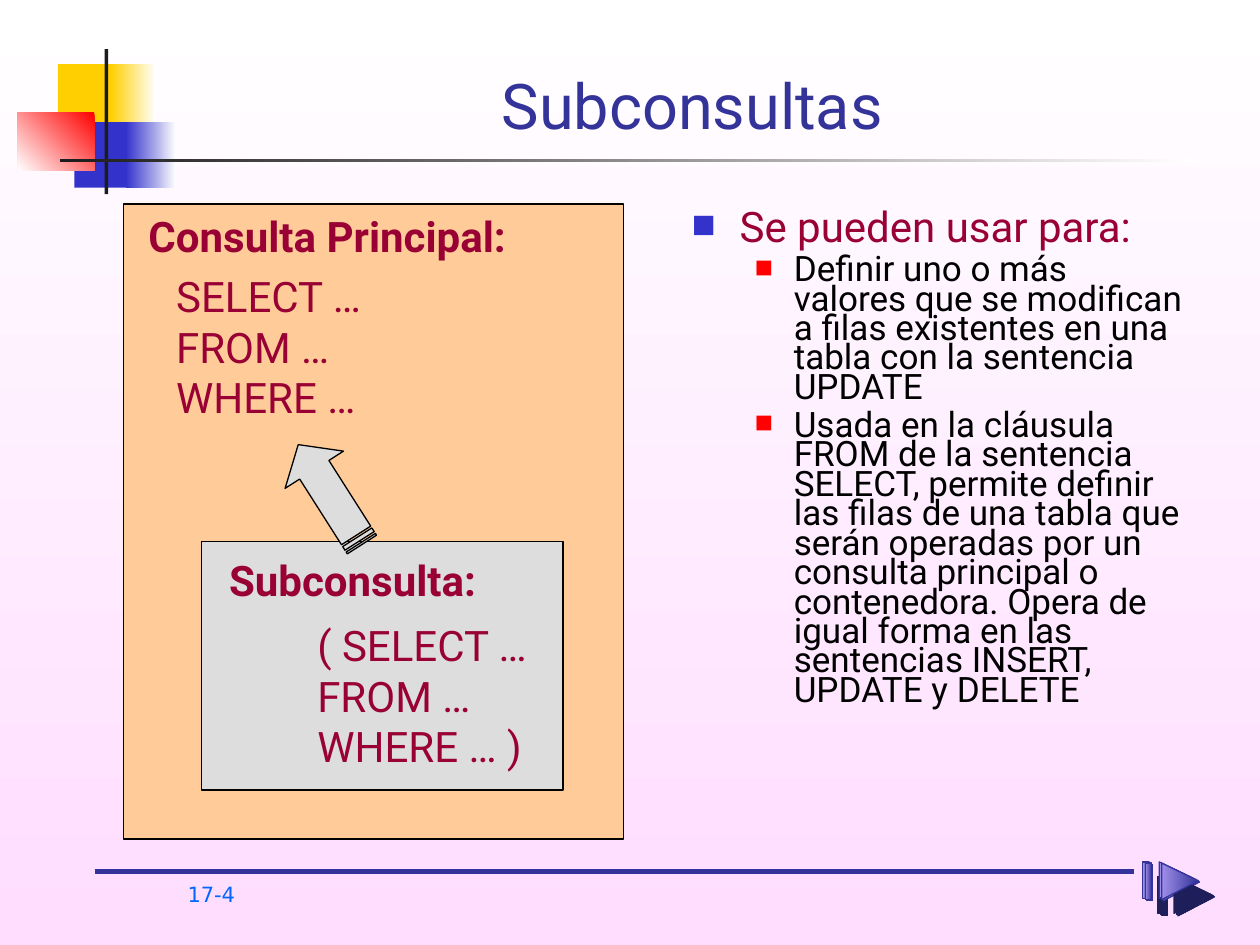
from lxml import etree
from pptx import Presentation, util as u
from pptx.dml.color import RGBColor
from pptx.enum import shapes, text
from pptx.oxml.ns import qn

WINE, NAVY, BLUE, GREY = "990033", "333399", "3333CC", "DDDDDD"
KIND = shapes.MSO_SHAPE

deck = Presentation()
deck.slide_width, deck.slide_height = u.Inches(10), u.Inches(7.5)
slide = deck.slides.add_slide(deck.slide_layouts[1])
parts = slide.shapes


def paint(fill, first, last=None, turn=180):
    """One colour gives a solid fill, two a gradient."""
    if last is None:
        fill.solid()
        fill.fore_color.rgb = RGBColor.from_string(first)
        return
    fill.gradient()
    fill.gradient_angle = turn
    for stop, tone in zip(fill.gradient_stops, (first, last)):
        stop.color.rgb = RGBColor.from_string(tone)


def write(frame, lines, size, tone, bold=False, face="Roboto", wrap=True):
    """Put each line in its own paragraph."""
    frame.word_wrap = wrap
    frame.auto_size = text.MSO_AUTO_SIZE.NONE
    for i, line in enumerate(lines):
        para = frame.paragraphs[0] if i == 0 else frame.add_paragraph()
        run = para.add_run()
        run.text = line
        run.font.size, run.font.name, run.font.bold = u.Pt(size), face, bold
        paint(run.font.fill, tone)


# Background
paint(slide.background.fill, "FFFFFF", "FFDDFF", 270)

# Corner blocks and title rule
for box, tones in (
    ((0.46, 0.51, 0.48, 0.52), ("FFCF01",)),
    ((0.88, 0.51, 0.36, 0.52), ("FFFFFF", "FFCF01")),
    ((0.59, 0.97, 0.46, 0.52), (BLUE,)),
    ((1.0, 0.97, 0.4, 0.52), ("FFFFFF", BLUE)),
    ((0.14, 0.89, 0.61, 0.46), ("FF0000", "FFFFFF", 225)),
    ((0.83, 0.39, 0.03, 1.15), ("1C1C1C",)),
    ((0.48, 1.26, 9, 0.03), ("FFFFFF", "1C1C1C")),
):
    block = parts.add_shape(KIND.RECTANGLE, *map(u.Inches, box))
    block.shadow.inherit = False
    block.line.fill.background()
    paint(block.fill, *tones)

# Footer line
rule = parts.add_connector(shapes.MSO_CONNECTOR.STRAIGHT,
                           *map(u.Inches, (0.75, 6.92, 9, 6.92)))
rule.line.width = u.Pt(2.75)
paint(rule.line.fill, NAVY)
etree.SubElement(rule._element.spPr, qn("a:effectLst"))

# Footer bars, then triangles, each stacked three deep
marks = []
steps = ((0.03, 0.02), (0, 0), (0.02, 0.01))
for dx, dy in steps:
    marks.append(parts.add_shape(KIND.RECTANGLE, *map(
        u.Inches, (9.07 + dx, 6.84 + dy, 0.05, 0.29))))
for dx, dy in steps:
    tip, top, low, end = [[u.Inches(x + dx), u.Inches(y + dy)] for x, y in (
        (9.49, 6.98), (9.2, 6.84), (9.2, 7.13), (9.49, 6.98))]
    path = parts.build_freeform(*tip)
    path.add_line_segments([top, low, end])
    marks.append(path.convert_to_shape())
for mark in marks:
    paint(mark.fill, NAVY, "A08FE9")
    paint(mark.line.fill, NAVY)
    mark.line.width = u.Pt(0.74)
    mark.shadow.inherit = False
    glow = mark._element.spPr.find(qn("a:effectLst"))
    cast = etree.SubElement(glow, qn("a:outerShdw"), dist=str(u.Pt(12.1)),
                            dir="2700000", algn="ctr", rotWithShape="0")
    etree.SubElement(cast, qn("a:srgbClr"), val="1E1E5B")

# Title
title = parts.title
title.left, title.top, title.width, title.height = map(
    u.Inches, (1.26, 0.36, 8.47, 0.82))
title.text_frame.vertical_anchor = text.MSO_ANCHOR.BOTTOM
write(title.text_frame, ["Subconsultas"], 36, NAVY)
title.text_frame.paragraphs[0].alignment = text.PP_ALIGN.CENTER

# Bulleted body
body = slide.placeholders[1]
body.left, body.top, body.width, body.height = map(
    u.Inches, (5.39, 1.65, 4.13, 4.95))
write(body.text_frame, [
    "Se pueden usar para:",
    "Definir uno o más valores que se modifican a filas existentes en una "
    "tabla con la sentencia UPDATE",
    "Usada en la cláusula FROM de la sentencia SELECT, permite definir las "
    "filas de una tabla que serán operadas por un consulta principal o "
    "contenedora. Opera de igual forma en las sentencias INSERT, UPDATE y "
    "DELETE"], 20, "000000")
for i, para in enumerate(body.text_frame.paragraphs):
    level = min(i, 1)
    para.level = level
    para.line_spacing = 0.7
    para.space_before = u.Pt((6, 5)[level])
    props = para._p.get_or_add_pPr()
    props.set("marL", str(u.Inches((0.38, 0.81)[level])))
    props.set("indent", str(-u.Inches((0.38, 0.31)[level])))
    tint = etree.SubElement(props, qn("a:buClr"))
    etree.SubElement(tint, qn("a:srgbClr"), val=(BLUE, "FF0000")[level])
    etree.SubElement(props, qn("a:buSzPct"), val=("60000", "55000")[level])
    etree.SubElement(props, qn("a:buFont"), typeface="Roboto")
    etree.SubElement(props, qn("a:buChar"), char="■")
lead = body.text_frame.paragraphs[0].runs[0].font
lead.size = u.Pt(24)
paint(lead.fill, WINE)

# Query panels and the arrow between them
for kind, box, tone in (
    (KIND.RECTANGLE, (0.98, 1.62, 3.97, 5.04), "FFCC99"),
    (KIND.RECTANGLE, (1.6, 4.3, 2.87, 1.97), GREY),
    (KIND.STRIPED_RIGHT_ARROW, (2.15, 3.65, 0.94, 0.55), GREY),
):
    panel = parts.add_shape(kind, *map(u.Inches, box))
    panel.shadow.inherit = False
    paint(panel.fill, tone)
    paint(panel.line.fill, "000000")
    panel.line.width = u.Pt(0.74)
arrow = panel
arrow.rotation = 237.5
arrow.adjustments[1] = 0.43

# Query text
for box, lines, bold in (
    ((1.08, 1.62, 3.32, 0.5), ["Consulta Principal:"], True),
    ((1.3, 2.1, 3.5, 1.3), ["SELECT …", "FROM …", "WHERE …"], False),
    ((1.72, 4.35, 2.34, 0.5), ["Subconsulta:"], True),
    ((2.42, 4.87, 1.87, 1.3), ["( SELECT …", "FROM …", "WHERE … )"], False),
):
    note = parts.add_textbox(*map(u.Inches, box))
    write(note.text_frame, lines, 24, WINE, bold, wrap=False)

# Page number
page = parts.add_textbox(*map(u.Inches, (1.39, 6.95, 0.86, 0.33)))
write(page.text_frame, ["17-4"], 12, "0066FF", face="DejaVu Sans")

deck.save("out.pptx")
